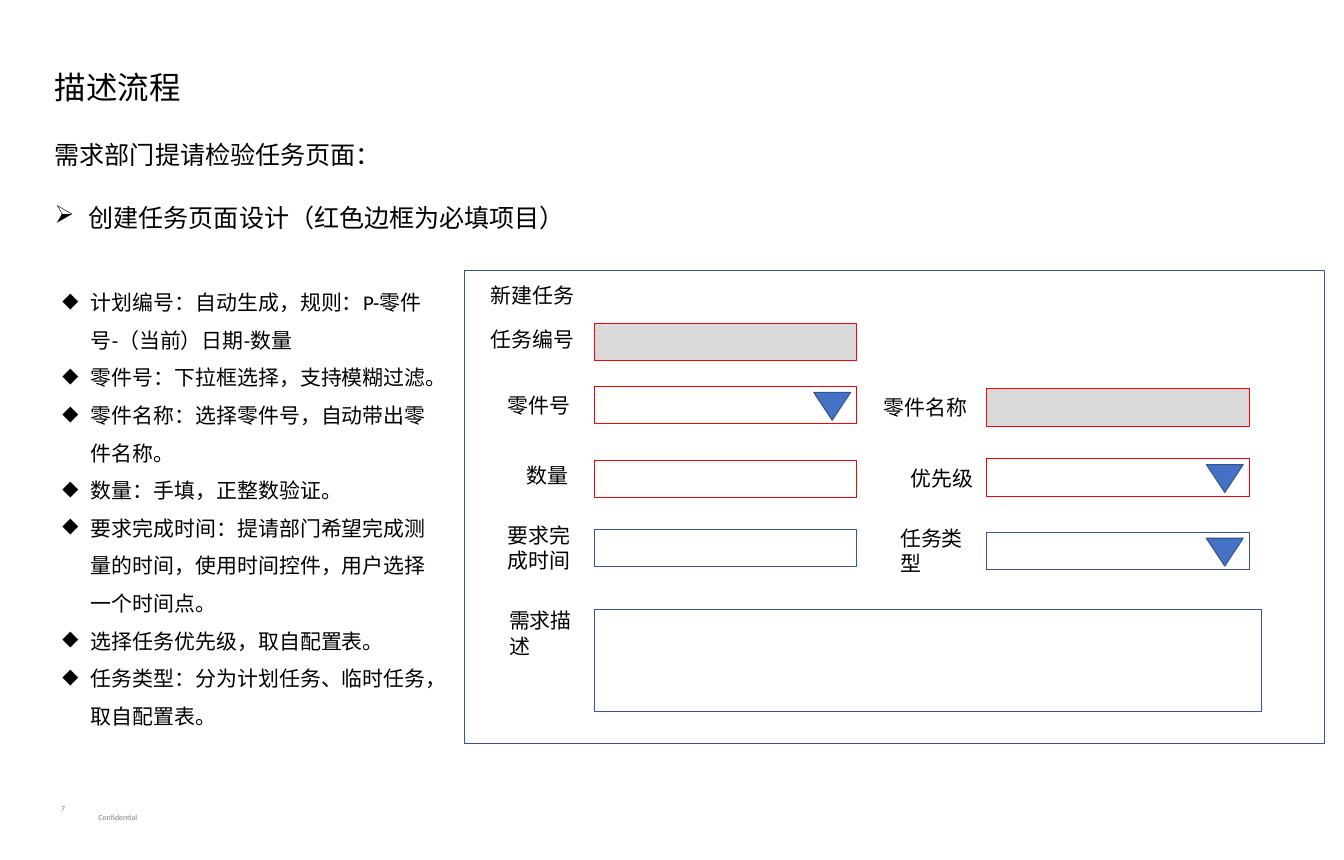
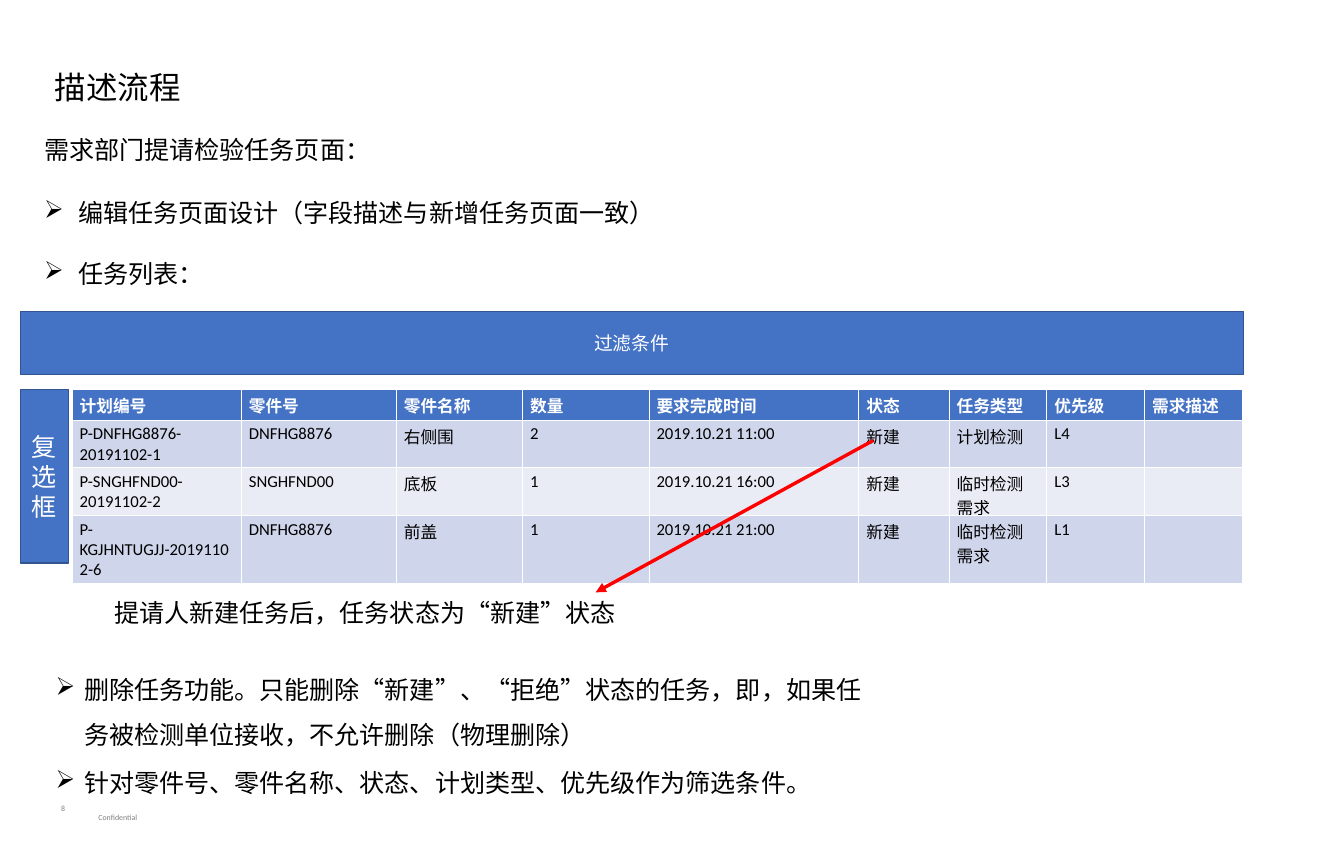
from lxml.etree import SubElement
from pptx import Presentation
from pptx.dml.color import RGBColor
from pptx.enum.shapes import MSO_CONNECTOR, MSO_SHAPE
from pptx.enum.text import MSO_ANCHOR, MSO_AUTO_SIZE, PP_ALIGN
from pptx.oxml.ns import qn
from pptx.util import Emu, Pt

# One px is a hundredth of an inch
EMU_PER_PX = 9144
FONT = "Calibri"
BLACK = RGBColor(0x00, 0x00, 0x00)
WHITE = RGBColor(0xFF, 0xFF, 0xFF)
GREY = RGBColor(0x7F, 0x7F, 0x7F)
LOCKED = RGBColor(0xD9, 0xD9, 0xD9)
RED = RGBColor(0xFF, 0x00, 0x00)
BLUE = RGBColor(0x44, 0x72, 0xC4)
DARK_BLUE = RGBColor(0x32, 0x54, 0x91)
BANDS = (RGBColor(0xCF, 0xD5, 0xEA), RGBColor(0xE9, 0xEB, 0xF5))

TITLE = "描述流程"
SUBTITLE = "需求部门提请检验任务页面："
ARROW_BULLET = "➢"
DIAMOND_BULLET = "◆"

FIELD_SIZE = (349, 50)
LEFT_FIELD, RIGHT_FIELD = 790, 1312
DROP_SIZE = (49, 37)

# Label, label place (left, top, width), field place, border, fill, drop-down
FIELDS = [
    ("任务编号", (643, 430, 158), (LEFT_FIELD, 430), RED, LOCKED, False),
    ("零件号", (665, 518, 158), (LEFT_FIELD, 514), RED, WHITE, True),
    ("零件名称", (1165, 520, 158), (RIGHT_FIELD, 517), RED, LOCKED, False),
    ("数量", (690, 610, 111), (LEFT_FIELD, 612), RED, WHITE, False),
    ("优先级", (1201, 614, 111), (RIGHT_FIELD, 610), RED, WHITE, True),
    ("要求完成时间", (665, 690, 111), (LEFT_FIELD, 704), DARK_BLUE, WHITE, False),
    ("任务类型", (1187, 694, 111), (RIGHT_FIELD, 708), DARK_BLUE, WHITE, True),
]

FIELD_NOTES = [
    "计划编号：自动生成，规则：P-零件号-（当前）日期-数量",
    "零件号：下拉框选择，支持模糊过滤。",
    "零件名称：选择零件号，自动带出零件名称。",
    "数量：手填，正整数验证。",
    "要求完成时间：提请部门希望完成测量的时间，使用时间控件，用户选择一个时间点。",
    "选择任务优先级，取自配置表。",
    "任务类型：分为计划任务、临时任务，取自配置表。",
]

TASK_COLUMNS = [225, 206, 168, 168, 279, 120, 130, 130, 130]
TASK_ROW_HEIGHTS = [41, 63, 63, 90]
TASKS = [
    ["计划编号", "零件号", "零件名称", "数量", "要求完成时间",
     "状态", "任务类型", "优先级", "需求描述"],
    ["P-DNFHG8876-20191102-1", "DNFHG8876", "右侧围", "2",
     "2019.10.21 11:00", "新建", "计划检测", "L4", ""],
    ["P-SNGHFND00-20191102-2", "SNGHFND00", "底板", "1",
     "2019.10.21 16:00", "新建", "临时检测需求", "L3", ""],
    ["P-KGJHNTUGJJ-20191102-6", "DNFHG8876", "前盖", "1",
     "2019.10.21 21:00", "新建", "临时检测需求", "L1", ""],
]


def px(*lengths):
    return [Emu(length * EMU_PER_PX) for length in lengths]


def add_span(para, text, size, color=BLACK, bold=False):
    span = para.add_run()
    span.text = text
    span.font.name = FONT
    span.font.size = Pt(size)
    span.font.bold = bold
    span.font.color.rgb = color


def set_bullet(para, symbol, indent):
    props = para._p.get_or_add_pPr()
    margin, = px(indent)
    props.set("marL", str(margin))
    props.set("indent", str(-margin))
    SubElement(props, qn("a:buChar")).set("char", symbol)


def add_text(page, place, texts, size, color=BLACK, bullet=None, indent=38,
             spacing=None, align=PP_ALIGN.LEFT, anchor=MSO_ANCHOR.TOP):
    frame = page.shapes.add_textbox(*px(*place)).text_frame
    frame.word_wrap = True
    frame.vertical_anchor = anchor
    for index, text in enumerate(texts):
        para = frame.add_paragraph() if index else frame.paragraphs[0]
        if bullet:
            set_bullet(para, bullet, indent)
        para.alignment = align
        if spacing:
            para.line_spacing = spacing
        add_span(para, text, size, color)


def add_heading(page, left, top, text):
    add_text(page, (left, top, 1383, 65), [text], 24,
             bullet=ARROW_BULLET, indent=45, spacing=1.5)


def add_box(page, place, fill=WHITE, border=DARK_BLUE, kind=MSO_SHAPE.RECTANGLE):
    box = page.shapes.add_shape(kind, *px(*place))
    box.shadow.inherit = False
    box.fill.solid()
    box.fill.fore_color.rgb = fill
    box.line.color.rgb = border
    box.line.width = Pt(1)
    return box


def add_bar(page, place, text, size):
    frame = add_box(page, place, BLUE).text_frame
    frame.word_wrap = True
    frame.vertical_anchor = MSO_ANCHOR.MIDDLE
    para = frame.paragraphs[0]
    para.alignment = PP_ALIGN.CENTER
    add_span(para, text, size, WHITE)


def add_field(page, label, label_place, field_place, border, fill, drop_down):
    left, top = field_place
    width, height = FIELD_SIZE
    add_box(page, (left, top, width, height), fill, border)
    add_text(page, (*label_place, 44), [label], 20)
    if drop_down:
        drop_width, drop_height = DROP_SIZE
        place = (left + width - drop_width - 8, top + 8, drop_width, drop_height)
        marker = add_box(page, place, BLUE, kind=MSO_SHAPE.ISOSCELES_TRIANGLE)
        marker.rotation = 180


def add_task_table(page, left, top):
    frame = page.shapes.add_table(
        len(TASKS), len(TASK_COLUMNS),
        *px(left, top, sum(TASK_COLUMNS), sum(TASK_ROW_HEIGHTS)))
    table = frame.table
    for column, width in zip(table.columns, px(*TASK_COLUMNS)):
        column.width = width
    for row, height in zip(table.rows, px(*TASK_ROW_HEIGHTS)):
        row.height = height
    for row_index, texts in enumerate(TASKS):
        header = row_index == 0
        for column_index, text in enumerate(texts):
            cell = table.cell(row_index, column_index)
            cell.fill.solid()
            cell.fill.fore_color.rgb = BLUE if header else BANDS[(row_index - 1) % 2]
            if text:
                add_span(cell.text_frame.paragraphs[0], text, 16,
                         WHITE if header else BLACK, header)


def add_arrow(page, start, end):
    arrow = page.shapes.add_connector(MSO_CONNECTOR.STRAIGHT, *px(*start, *end))
    arrow.line.color.rgb = RED
    arrow.line.width = Pt(3.25)
    props = arrow._element.spPr
    SubElement(props.find(qn("a:ln")), qn("a:tailEnd")).set("type", "triangle")
    SubElement(props, qn("a:effectLst"))


def add_page(deck, number, subtitle_place):
    page = deck.slides.add_slide(deck.slide_layouts[5])
    # Title
    title = page.shapes.title
    title.left, title.top, title.width, title.height = px(63, 85, 189, 61)
    frame = title.text_frame
    frame.word_wrap = False
    frame.auto_size = MSO_AUTO_SIZE.NONE
    frame.vertical_anchor = MSO_ANCHOR.TOP
    para = frame.paragraphs[0]
    para.alignment = PP_ALIGN.LEFT
    add_span(para, TITLE, 30.1)
    # Footer
    add_text(page, (121, 1076, 1103, 23), ["Confidential"], 7.5, GREY,
             anchor=MSO_ANCHOR.BOTTOM)
    add_text(page, (43, 1064, 82, 23), [str(number)], 7.5, GREY,
             align=PP_ALIGN.CENTER)
    # Subtitle
    add_text(page, (*subtitle_place, 1298, 50), [SUBTITLE], 24)
    return page


def build_create_page(deck):
    page = add_page(deck, 7, (63, 181))
    add_heading(page, 63, 245, "创建任务页面设计（红色边框为必填项目）")
    add_text(page, (73, 364, 505, 611), FIELD_NOTES, 20,
             bullet=DIAMOND_BULLET, spacing=1.5)
    # Form
    add_box(page, (617, 360, 1144, 629))
    add_text(page, (643, 371, 158, 44), ["新建任务"], 20)
    for field in FIELDS:
        add_field(page, *field)
    add_box(page, (LEFT_FIELD, 811, 888, 135))
    add_text(page, (667, 804, 111, 77), ["需求描述"], 20)


def build_list_page(deck):
    page = add_page(deck, 8, (49, 174))
    add_heading(page, 49, 238, "编辑任务页面设计（字段描述与新增任务页面一致）")
    add_heading(page, 49, 319, "任务列表：")
    # Task list
    add_bar(page, (27, 414, 1626, 84), "过滤条件", 18)
    add_bar(page, (27, 518, 64, 231), "复选框", 24)
    add_task_table(page, 96, 518)
    add_arrow(page, (1161, 586), (792, 788))
    add_text(page, (142, 770, 731, 65),
             ["提请人新建任务后，任务状态为“新建”状态"], 24, spacing=1.5)
    # Rules
    add_text(page, (64, 872, 1097, 125),
             ["删除任务功能。只能删除“新建”、“拒绝”状态的任务，即，如果任务被检测单位接收，不允许删除（物理删除）"],
             24, bullet=ARROW_BULLET, spacing=1.5)
    add_text(page, (64, 996, 1383, 65),
             ["针对零件号、零件名称、状态、计划类型、优先级作为筛选条件。"],
             24, bullet=ARROW_BULLET, spacing=1.5)


def main():
    deck = Presentation()
    deck.slide_width, deck.slide_height = px(1787, 1144)
    build_create_page(deck)
    build_list_page(deck)
    deck.save("out.pptx")


if __name__ == "__main__":
    main()
